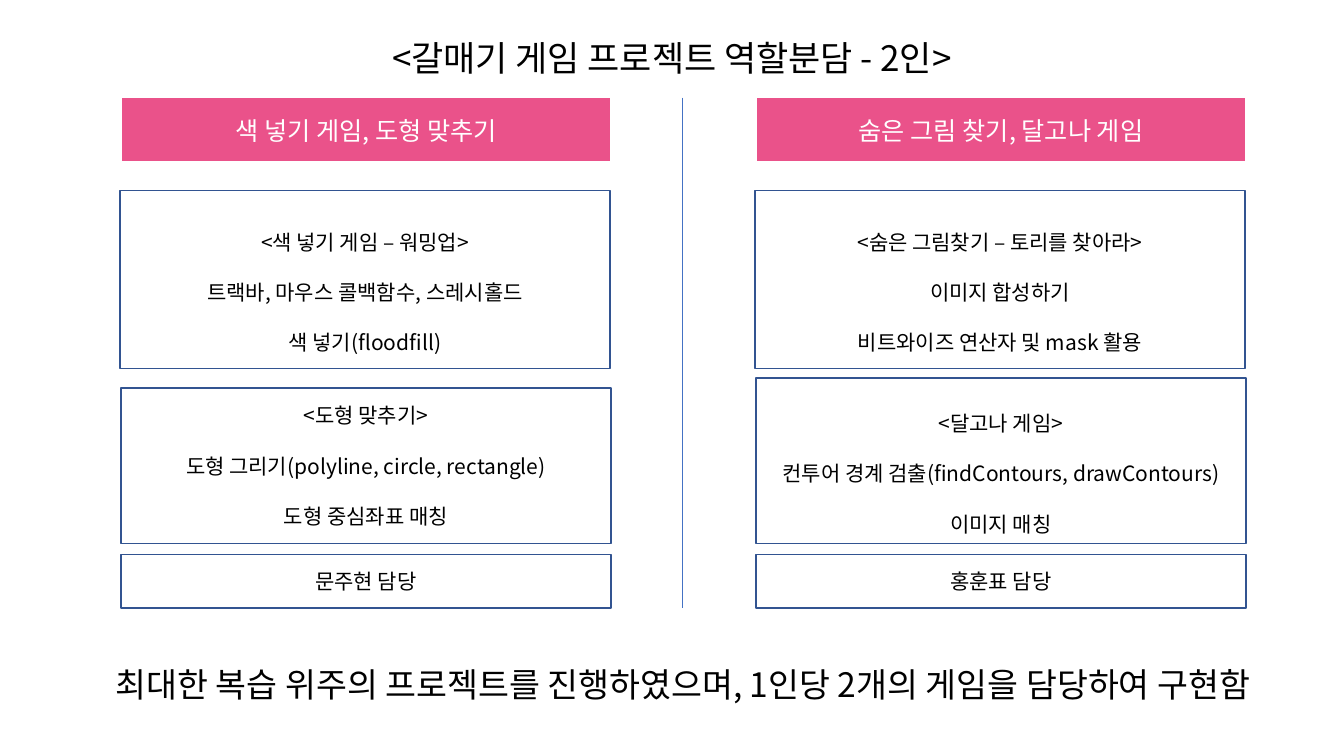
"""Build the slide that shares four mini games between two people."""
from dataclasses import dataclass

from lxml import etree
from pptx import Presentation
from pptx.dml.color import RGBColor
from pptx.enum.shapes import MSO_CONNECTOR, MSO_SHAPE
from pptx.enum.text import MSO_ANCHOR as Anchor, MSO_AUTO_SIZE as AutoSize, PP_ALIGN as Align
from pptx.oxml.ns import qn
from pptx.slide import Slide
from pptx.text.text import TextFrame
from pptx.util import Pt

FONT = "Noto Sans CJK KR"
BLACK, WHITE, PINK, NAVY, BLUE = "000000", "FFFFFF", "EA528A", "325491", "4472C4"
COLUMN_LEFTS = (86.4, 540)
COLUMN_WIDTH = 350


@dataclass(frozen=True)
class Panel:
    lines: tuple[str, ...]
    top: float
    height: float
    shift: float = 0
    spacing: float = 2
    size: float = 15
    ink: str = BLACK
    fill: str = WHITE
    border: str = NAVY
    bottom_inset: float = 3.6


def role_panel(theme: str) -> Panel:
    return Panel((theme,), 69.8, 46, spacing=1, size=18, ink=WHITE, fill=PINK, border=WHITE)


def first_game_panel(*lines: str) -> Panel:
    return Panel(lines, 136, 127.4, shift=-0.7)


def owner_panel(owner: str) -> Panel:
    return Panel((owner,), 396, 38.2, spacing=1)


COLUMNS = (
    (
        first_game_panel("<색 넣기 게임 – 워밍업>", "트랙바, 마우스 콜백함수, 스레시홀드", "색 넣기(floodfill)"),
        role_panel("색 넣기 게임, 도형 맞추기"),
        Panel(("<도형 맞추기>", "도형 그리기(polyline, circle, rectangle)", "도형 중심좌표 매칭"),
              277.2, 110.9, bottom_inset=21.6),
        owner_panel("문주현 담당"),
    ),
    (
        first_game_panel("<숨은 그림찾기 – 토리를 찾아라>", "이미지 합성하기", "비트와이즈 연산자 및 mask 활용"),
        role_panel("숨은 그림 찾기, 달고나 게임"),
        Panel(("<달고나 게임>", "컨투어 경계 검출(findContours, drawContours)", "이미지 매칭"),
              270, 118.1),
        owner_panel("홍훈표 담당"),
    ),
)


def color(hex_code: str) -> RGBColor:
    return RGBColor.from_string(hex_code)


def write(frame: TextFrame, lines: tuple[str, ...], size: float, ink: str, spacing: float) -> None:
    frame.text = "\n".join(lines)
    frame.word_wrap = True
    for paragraph in frame.paragraphs:
        paragraph.alignment = Align.CENTER
        paragraph.line_spacing = spacing
        for run in paragraph.runs:
            run.font.size = Pt(size)
            run.font.name = FONT
            run.font.color.rgb = color(ink)
            east_asian = etree.SubElement(run.font._element, qn("a:ea"))
            east_asian.set("typeface", FONT)


def draw_panel(slide: Slide, panel: Panel, column_left: float) -> None:
    box = slide.shapes.add_shape(MSO_SHAPE.RECTANGLE, Pt(column_left + panel.shift), Pt(panel.top),
                                 Pt(COLUMN_WIDTH), Pt(panel.height))
    box.shadow.inherit = False
    box.fill.solid()
    box.fill.fore_color.rgb = color(panel.fill)
    box.line.color.rgb = color(panel.border)
    box.line.width = Pt(1)
    frame = box.text_frame
    frame.vertical_anchor = Anchor.MIDDLE
    frame.margin_bottom = Pt(panel.bottom_inset)
    write(frame, panel.lines, panel.size, panel.ink, panel.spacing)


def draw_divider(slide: Slide) -> None:
    divider = slide.shapes.add_connector(MSO_CONNECTOR.STRAIGHT, Pt(487.4), Pt(69.8), Pt(487.4), Pt(434.2))
    divider.line.color.rgb = color(BLUE)
    divider.line.width = Pt(0.5)
    etree.SubElement(divider._element.spPr, qn("a:effectLst"))


def main() -> None:
    deck = Presentation()
    deck.slide_width, deck.slide_height = Pt(960), Pt(540)
    slide = deck.slides.add_slide(deck.slide_layouts[5])

    heading = slide.shapes.title
    heading.left, heading.top, heading.width, heading.height = Pt(127.4), Pt(-7.2), Pt(704.9), Pt(59)
    summary = slide.shapes.add_textbox(Pt(20.9), Pt(442.1), Pt(933.8), Pt(56.9))
    for frame, line, size in (
        (heading.text_frame, "<갈매기 게임 프로젝트 역할분담 - 2인>", 25),
        (summary.text_frame, "최대한 복습 위주의 프로젝트를 진행하였으며, 1인당 2개의 게임을 담당하여 구현함", 24),
    ):
        write(frame, (line,), size, BLACK, 2)
        frame.vertical_anchor = Anchor.TOP
        frame.auto_size = AutoSize.SHAPE_TO_FIT_TEXT

    for column_left, panels in zip(COLUMN_LEFTS, COLUMNS):
        for panel in panels:
            draw_panel(slide, panel, column_left)
    draw_divider(slide)
    deck.save("out.pptx")


if __name__ == "__main__":
    main()
